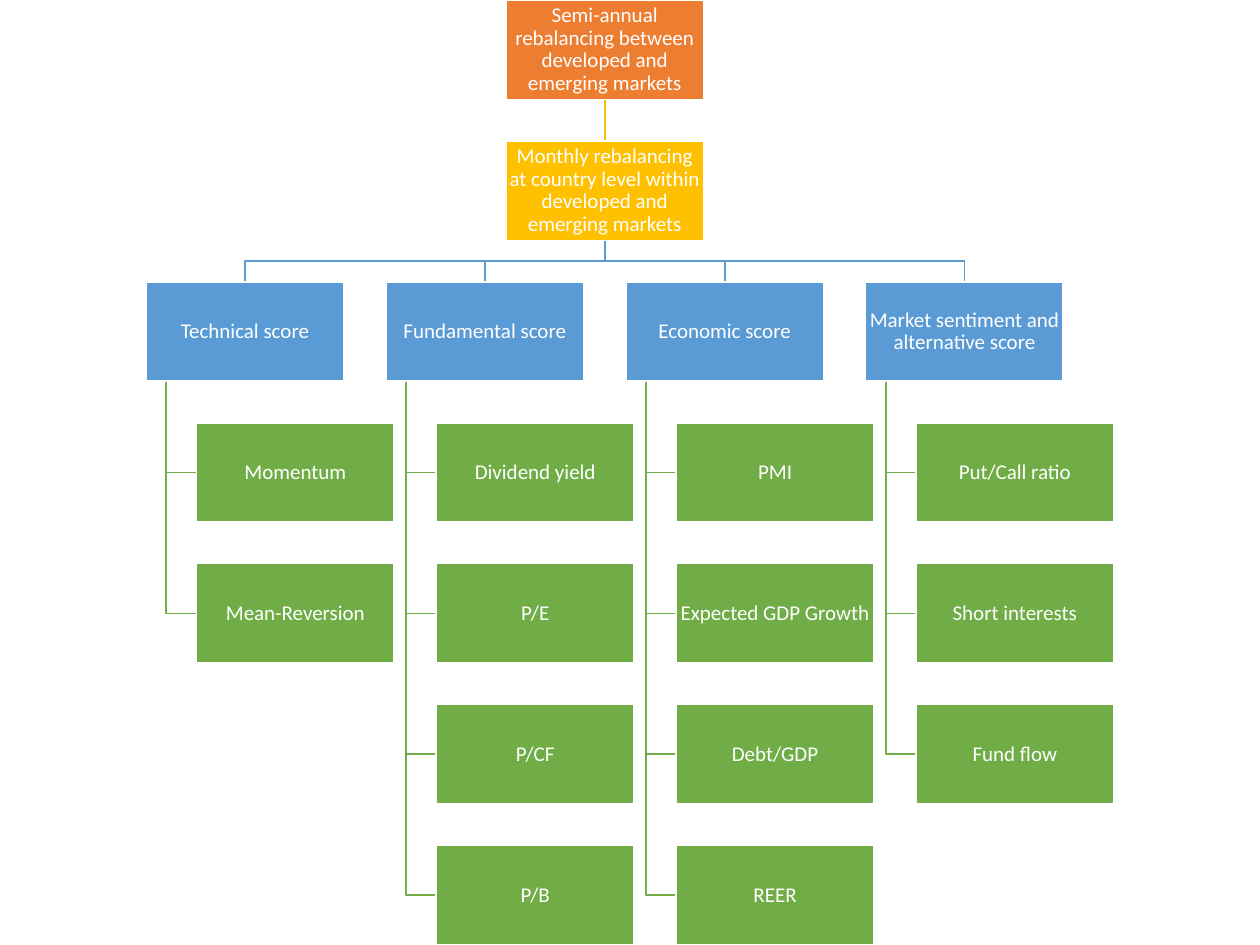
from dataclasses import dataclass

from lxml.etree import SubElement
from pptx import Presentation
from pptx.dml.color import RGBColor
from pptx.enum.shapes import MSO_CONNECTOR, MSO_SHAPE
from pptx.enum.text import MSO_ANCHOR, PP_ALIGN
from pptx.oxml.ns import qn
from pptx.util import Inches, Pt


@dataclass(frozen=True)
class Theme:
    orange: RGBColor = RGBColor.from_string("ED7D31")
    gold: RGBColor = RGBColor.from_string("FFC000")
    blue: RGBColor = RGBColor.from_string("5B9BD5")
    green: RGBColor = RGBColor.from_string("70AD47")
    white: RGBColor = RGBColor.from_string("FFFFFF")
    font: str = "Calibri"
    size: Pt = Pt(12)
    line: Pt = Pt(1)


theme = Theme()

SCORES = {
    "Technical score": ["Momentum", "Mean-Reversion"],
    "Fundamental score": ["Dividend yield", "P/E", "P/CF", "P/B"],
    "Economic score": ["PMI", "Expected GDP Growth", "Debt/GDP", "REER"],
    "Market sentiment and alternative score": [
        "Put/Call ratio", "Short interests", "Fund flow"],
}

BOX_W, BOX_H = 1.57, 0.79
ROW_STEP = (7.5 - BOX_H) / 6
COL_LEFT, COL_RIGHT = 1.16, 6.87
COL_STEP = (COL_RIGHT - COL_LEFT) / (len(SCORES) - 1)
TOP_LEFT = (COL_LEFT + COL_RIGHT) / 2
CENTER = TOP_LEFT + BOX_W / 2
INDENT, TRUNK = 0.4, 0.16

prs = Presentation()
prs.slide_width, prs.slide_height = Inches(10), Inches(7.5)
s = prs.slides.add_slide(prs.slide_layouts[6])


def add_elbow(points, color):
    """Draw an open line through points given in inches."""
    start, *rest = [(Inches(x), Inches(y)) for x, y in points]
    fb = s.shapes.build_freeform(*start)
    fb.add_line_segments(rest, close=False)
    sp = fb.convert_to_shape()
    sp.shadow.inherit = False
    sp.fill.background()
    sp.line.color.rgb = color
    sp.line.width = theme.line


def add_box(left, row, text, color):
    sp = s.shapes.add_shape(MSO_SHAPE.RECTANGLE, Inches(left), Inches(row * ROW_STEP),
                            Inches(BOX_W), Inches(BOX_H))
    sp.shadow.inherit = False
    sp.fill.solid()
    sp.fill.fore_color.rgb = color
    sp.line.color.rgb = theme.white
    sp.line.width = theme.line
    tf = sp.text_frame
    tf.word_wrap = True
    tf.vertical_anchor = MSO_ANCHOR.MIDDLE
    for side in ("left", "right", "top", "bottom"):
        setattr(tf, f"margin_{side}", Inches(0.01))
    p = tf.paragraphs[0]
    p.alignment = PP_ALIGN.CENTER
    p.line_spacing = 0.9
    r = p.add_run()
    r.text = text
    for name, value in {"name": theme.font, "size": theme.size}.items():
        setattr(r.font, name, value)
    r.font.color.rgb = theme.white


# Link between the two rebalancing levels
link = s.shapes.add_connector(MSO_CONNECTOR.STRAIGHT, Inches(CENTER), Inches(BOX_H),
                              Inches(CENTER), Inches(ROW_STEP))
link.line.color.rgb = theme.gold
link.line.width = theme.line
SubElement(link.element.spPr, qn("a:effectLst"))

# Lines go behind the boxes
level_bottom, score_top = ROW_STEP + BOX_H, 2 * ROW_STEP
bus = (level_bottom + score_top) / 2
for col, factors in enumerate(SCORES.values()):
    left = COL_LEFT + col * COL_STEP
    mid = left + BOX_W / 2
    add_elbow([(CENTER, level_bottom), (CENTER, bus), (mid, bus), (mid, score_top)],
              theme.blue)
    for row in range(3, 3 + len(factors)):
        y = row * ROW_STEP + BOX_H / 2
        add_elbow([(left + TRUNK, score_top + BOX_H), (left + TRUNK, y),
                   (left + INDENT, y)], theme.green)

# Boxes
add_box(TOP_LEFT, 0, "Semi-annual rebalancing between developed and emerging markets",
        theme.orange)
add_box(TOP_LEFT, 1,
        "Monthly rebalancing at country level within developed and emerging markets",
        theme.gold)
for col, (score, factors) in enumerate(SCORES.items()):
    left = COL_LEFT + col * COL_STEP
    add_box(left, 2, score, theme.blue)
    for row, factor in enumerate(factors, start=3):
        add_box(left + INDENT, row, factor, theme.green)

prs.save("out.pptx")
